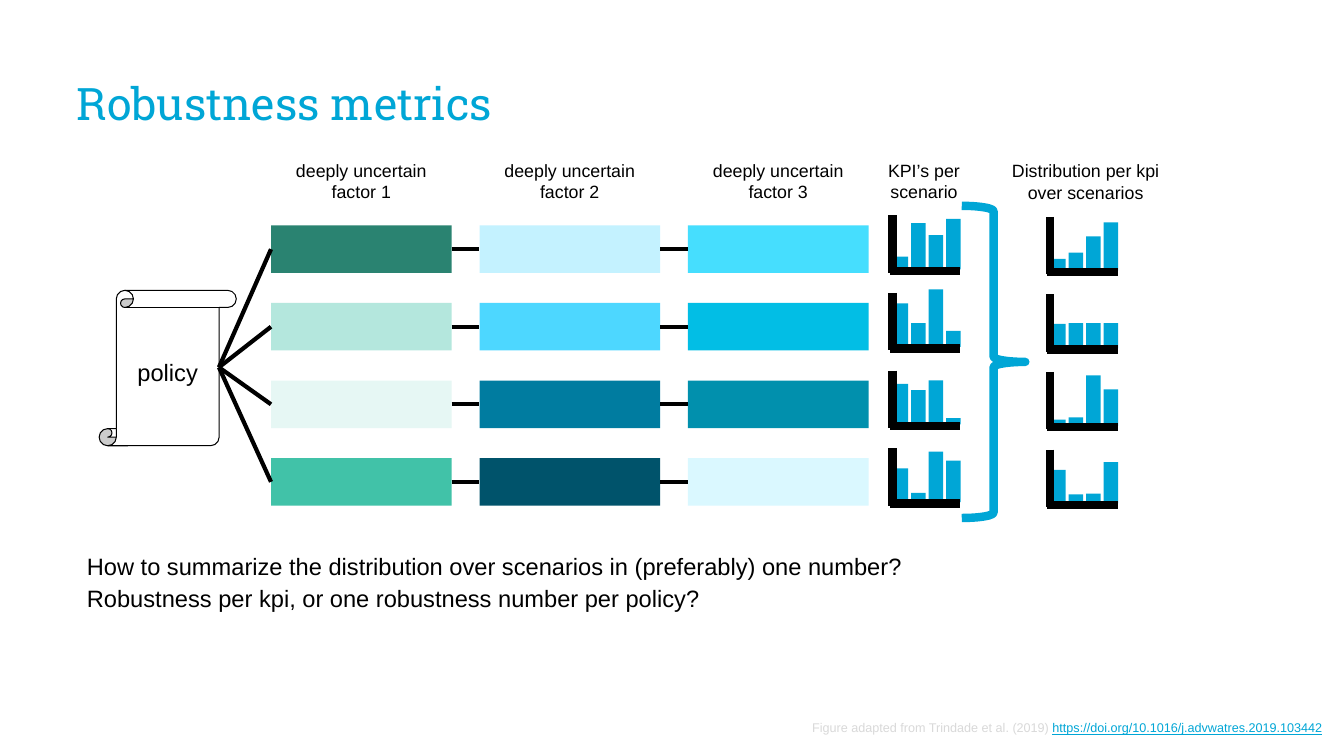
import pptx
import pptx.util
import pptx.dml.color
import pptx.enum.shapes
import pptx.enum.text
import pptx.oxml.ns
import lxml.etree

Pt = pptx.util.Pt
Preset = pptx.enum.shapes.MSO_SHAPE
Align = pptx.enum.text.PP_ALIGN
Anchor = pptx.enum.text.MSO_ANCHOR

COLOURS = {"cyan": "00A6D6", "black": "000000", "white": "FFFFFF", "grey": "D9D9D9"}

# One row per scenario, one column per deeply uncertain factor
FACTOR_FILLS = [
    ["2A8371", "C4F2FF", "46DEFE"],
    ["B4E7DD", "4DD7FF", "02BEE5"],
    ["E6F7F4", "007CA0", "0190AD"],
    ["41C2A8", "00536B", "DAF8FF"],
]
# Bar heights in points, one row per small chart
KPI_BARS = [[9, 33, 24.5, 36], [31, 17, 41, 11.5], [29, 24.5, 31.5, 4.5], [24, 6.5, 36, 29.5]]
DISTRIBUTION_BARS = [[8.5, 13, 24.5, 34.5], [17.5, 18, 18, 18], [4.5, 6, 36, 26], [24, 6.5, 7, 29.5]]

FACTOR_LEFT, FACTOR_TOP = 193.6, 161
FACTOR_WIDTH, FACTOR_HEIGHT = 129, 34
COLUMN_PITCH, ROW_PITCH = 148.9, 55.4
BAR_WIDTH, BAR_PITCH = 10.5, 12.5


def rgb(colour):
    return pptx.dml.color.RGBColor.from_string(COLOURS.get(colour, colour))


class SlideBuilder:
    """Holds the text style and the current slide."""

    font = "Arial"
    title_font = "Roboto Slab"
    label_size = 12.7
    body_size = 16.9

    def __init__(self, slide):
        self.slide = slide

    def run(self, paragraph, text, size, colour="black", font=None, underline=None):
        piece = paragraph.add_run()
        piece.text = text
        piece.font.name = font or self.font
        piece.font.size = Pt(size)
        piece.font.color.rgb = rgb(colour)
        piece.font.underline = underline

    def title(self, text, left, top, width, height):
        heading = self.slide.shapes.title
        heading.left, heading.top, heading.width, heading.height = map(Pt, (left, top, width, height))
        frame = heading.text_frame
        frame.margin_left = frame.margin_right = frame.margin_top = frame.margin_bottom = 0
        frame.vertical_anchor = Anchor.TOP
        paragraph = frame.paragraphs[0]
        paragraph.alignment = Align.LEFT
        paragraph.line_spacing = 0.9
        self.run(paragraph, text, 32, "cyan", self.title_font)

    def text(self, paragraphs, left, top, width, height, align=Align.CENTER, spacing=None):
        """Each paragraph is a list of dicts with the arguments of run()."""
        frame = self.slide.shapes.add_textbox(*map(Pt, (left, top, width, height))).text_frame
        frame.word_wrap = True
        for index, pieces in enumerate(paragraphs):
            paragraph = frame.add_paragraph() if index else frame.paragraphs[0]
            paragraph.alignment = align
            paragraph.line_spacing = spacing
            for piece in pieces:
                self.run(paragraph, **piece)

    def label(self, lines, left, top, width, height):
        self.text([[dict(text=line, size=self.label_size)] for line in lines], left, top, width, height)

    def shape(self, preset, left, top, width, height, fill=None, line=None, weight=0.75):
        figure = self.slide.shapes.add_shape(preset, *map(Pt, (left, top, width, height)))
        figure.shadow.inherit = False
        if fill:
            figure.fill.solid()
            figure.fill.fore_color.rgb = rgb(fill)
        else:
            figure.fill.background()
        if line:
            figure.line.color.rgb = rgb(line)
            figure.line.width = Pt(weight)
        else:
            figure.line.fill.background()
        return figure

    def line(self, x1, y1, x2, y2, weight):
        stroke = self.slide.shapes.add_connector(
            pptx.enum.shapes.MSO_CONNECTOR.STRAIGHT, *map(Pt, (x1, y1, x2, y2)))
        stroke.line.color.rgb = rgb("black")
        stroke.line.width = Pt(weight)
        lxml.etree.SubElement(stroke._element.spPr, pptx.oxml.ns.qn("a:effectLst"))
        return stroke

    def small_chart(self, heights, axis, base):
        for index, height in enumerate(heights):
            centre = axis + 6 + index * BAR_PITCH
            self.shape(Preset.RECTANGLE, centre - BAR_WIDTH / 2, base - 1 - height,
                       BAR_WIDTH, height, "cyan")
        self.line(axis, base - 39.5, axis, base + 1.5, 6)
        self.line(axis - 2, base, axis + 48.5, base, 6)


def main():
    deck = pptx.Presentation()
    deck.slide_width, deck.slide_height = Pt(960), Pt(540)
    page = SlideBuilder(deck.slides.add_slide(deck.slide_layouts[5]))
    page.title("Robustness metrics", 55, 58.5, 848, 39)

    # Source of the figure
    page.text([[dict(text="Figure adapted from Trindade et al. (2019) ", size=9, colour="grey"),
                dict(text="https://doi.org/10.1016/j.advwatres.2019.103442", size=9,
                     colour="cyan", underline=True)]],
              358, 511, 593.5, 18, Align.RIGHT)

    # Questions
    questions = ["How to summarize the distribution over scenarios in (preferably) one number?",
                 "Robustness per kpi, or one robustness number per policy?"]
    page.text([[dict(text=question, size=page.body_size)] for question in questions],
              55, 387.5, 640, 129.5, Align.LEFT, 1.14)

    # Policy scroll
    policy = page.shape(Preset.VERTICAL_SCROLL, 70.8, 207.4, 98, 111, "white", "black")
    policy_frame = policy.text_frame
    policy_frame.margin_left = policy_frame.margin_right = Pt(5)
    policy_frame.margin_top = policy_frame.margin_bottom = Pt(3)
    policy_frame.vertical_anchor = Anchor.MIDDLE
    policy_frame.paragraphs[0].alignment = Align.CENTER
    page.run(policy_frame.paragraphs[0], "policy", page.body_size)

    # Scenarios: a chain of factors, with its KPI chart and distribution chart
    for row, fills in enumerate(FACTOR_FILLS):
        top = FACTOR_TOP + row * ROW_PITCH
        previous = None
        for column, fill in enumerate(fills):
            left = FACTOR_LEFT + column * COLUMN_PITCH
            factor = page.shape(Preset.RECTANGLE, left, top, FACTOR_WIDTH, FACTOR_HEIGHT, fill)
            link = page.line(156.4, 262.4, left, top + FACTOR_HEIGHT / 2, 3)
            if previous:
                link.begin_connect(previous, 3)
            link.end_connect(factor, 1)
            previous = factor
        page.small_chart(KPI_BARS[row], 637.5, 193.4 + row * ROW_PITCH)
        page.small_chart(DISTRIBUTION_BARS[row], 750, 194.4 + row * ROW_PITCH)

    # Column headings
    for column in range(3):
        page.label(["deeply uncertain", f"factor {column + 1}"],
                   FACTOR_LEFT - 5 + column * COLUMN_PITCH, 110.3, FACTOR_WIDTH + 10, 38)
    page.label(["KPI’s per", "scenario"], 625, 110.5, 70, 38)
    page.label(["Distribution per kpi over scenarios"], 711.5, 110.9, 128, 38)

    # Brace from scenarios to distributions
    page.shape(Preset.RIGHT_BRACE, 687, 147, 45.4, 223, line="cyan", weight=6)

    deck.save("out.pptx")


if __name__ == "__main__":
    main()
